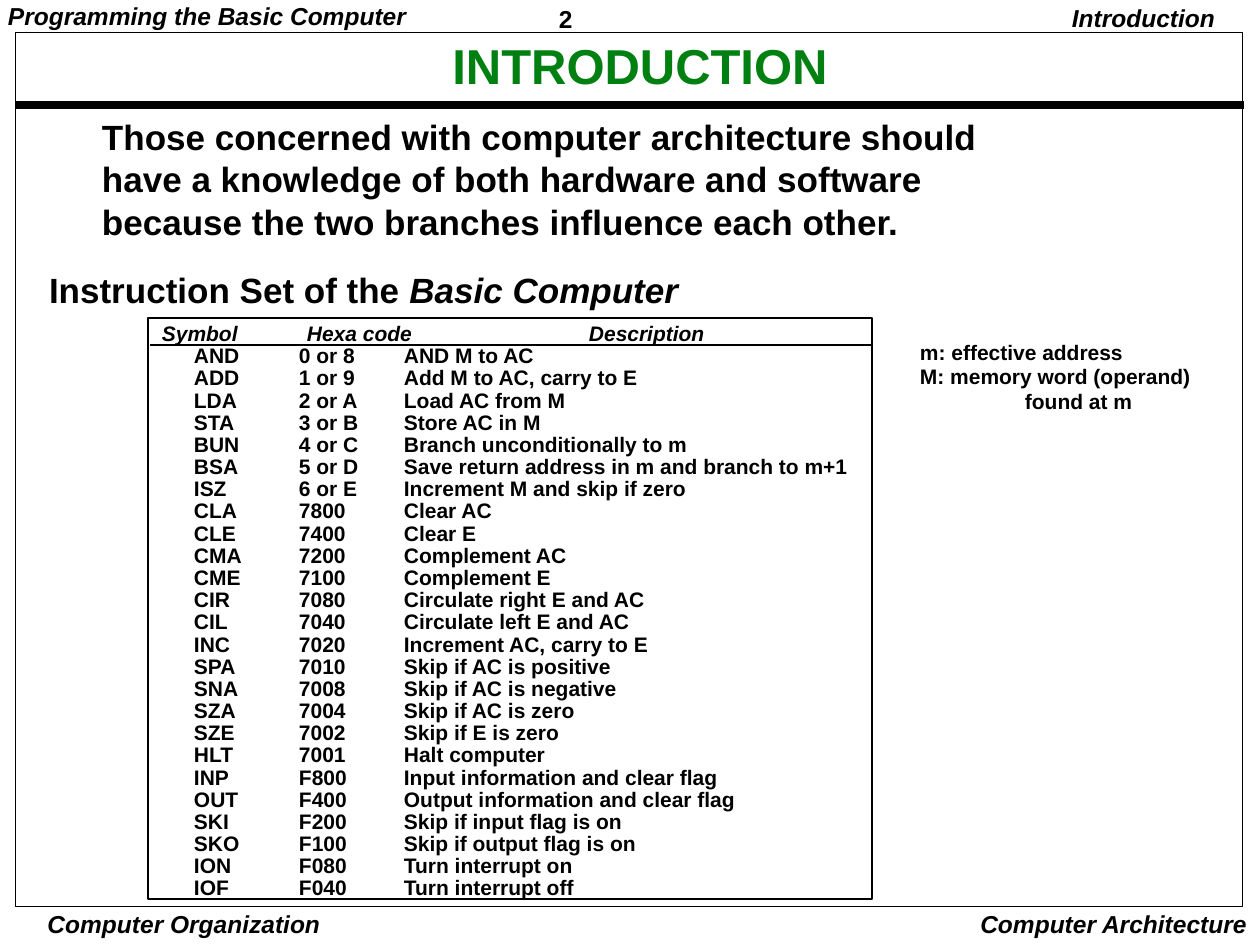
from lxml import etree
from pptx import Presentation
from pptx import util as u
from pptx.dml.color import RGBColor
from pptx.enum import shapes, text
from pptx.oxml.ns import qn

SCALE = 914400 / 126
BLACK = RGBColor(0x00, 0x00, 0x00)
GREEN = RGBColor(0x00, 0x80, 0x11)
LEFT = text.PP_ALIGN.LEFT
CENTER = text.PP_ALIGN.CENTER
RIGHT = text.PP_ALIGN.RIGHT
TAB_STEP = 105


def px(*lengths):
    return [round(length * SCALE) for length in lengths]


def write(shape, lines, size, color=BLACK, align=LEFT, spacing=1.0, inset=(9, 4), indent=0, wrap=False):
    frame = shape.text_frame
    frame.word_wrap = wrap
    side, edge = inset
    frame.margin_left, frame.margin_right = px(side + indent, side)
    frame.margin_top, frame.margin_bottom = px(edge, edge)
    for index, line in enumerate(lines):
        paragraph = frame.add_paragraph() if index else frame.paragraphs[0]
        paragraph.alignment = align
        paragraph.line_spacing = spacing
        if any("\t" in words for words, italic in line):
            tabs = etree.SubElement(paragraph._p.get_or_add_pPr(), qn("a:tabLst"))
            for stop in range(1, 4):
                etree.SubElement(tabs, qn("a:tab"), pos=str(px(stop * TAB_STEP)[0]), algn="l")
        for words, italic in line:
            run = paragraph.add_run()
            run.text = words
            run.font.name = "Arial"
            run.font.size = u.Pt(size)
            run.font.bold = True
            run.font.italic = italic
            run.font.color.rgb = color


presentation = Presentation()
presentation.slide_width, presentation.slide_height = px(1260, 945)
slide = presentation.slides.add_slide(presentation.slide_layouts[5])

title = slide.shapes.title
title.left, title.top, title.width, title.height = px(109, 40, 1062, 58)
write(title, [[("INTRODUCTION", False)]], 28, GREEN, CENTER, 0.9, (13, 6), wrap=True)
title.text_frame.vertical_anchor = text.MSO_ANCHOR.MIDDLE
title.text_frame.auto_size = text.MSO_AUTO_SIZE.NONE

for box, weight in [((15, 32, 1228, 874), 0.5), ((148, 318, 724, 581), 1)]:
    outline = slide.shapes.add_shape(shapes.MSO_SHAPE.RECTANGLE, *px(*box))
    outline.shadow.inherit = False
    outline.fill.background()
    outline.line.color.rgb = BLACK
    outline.line.width = u.Pt(weight)

for start, end, y, weight in [(16, 1244, 105, 4.5), (150, 873, 345, 1)]:
    rule = slide.shapes.add_connector(shapes.MSO_CONNECTOR.STRAIGHT, *px(start, y, end, y))
    rule.line.color.rgb = BLACK
    rule.line.width = u.Pt(weight)
    etree.SubElement(rule._element.spPr, qn("a:effectLst"))

instructions = [
    ("AND", "0 or 8", "AND M to AC"),
    ("ADD", "1 or 9", "Add M to AC, carry to E"),
    ("LDA", "2 or A", "Load AC from M"),
    ("STA", "3 or B", "Store AC in M"),
    ("BUN", "4 or C", "Branch unconditionally to m"),
    ("BSA", "5 or D", "Save return address in m and branch to m+1"),
    ("ISZ", "6 or E", "Increment M and skip if zero"),
    ("CLA", "7800", "Clear AC"),
    ("CLE", "7400", "Clear E"),
    ("CMA", "7200", "Complement AC"),
    ("CME", "7100", "Complement E"),
    ("CIR", "7080", "Circulate right E and AC"),
    ("CIL", "7040", "Circulate left E and AC"),
    ("INC", "7020", "Increment AC, carry to E"),
    ("SPA", "7010", "Skip if AC is positive"),
    ("SNA", "7008", "Skip if AC is negative"),
    ("SZA", "7004", "Skip if AC is zero"),
    ("SZE", "7002", "Skip if E is zero"),
    ("HLT", "7001", "Halt computer"),
    ("INP", "F800", "Input information and clear flag"),
    ("OUT", "F400", "Output information and clear flag"),
    ("SKI", "F200", "Skip if input flag is on"),
    ("SKO", "F100", "Skip if output flag is on"),
    ("ION", "F080", "Turn interrupt on"),
    ("IOF", "F040", "Turn interrupt off"),
]
instruction_lines = [[("\t".join(row), False)] for row in instructions]
statement = [
    [("Those concerned with computer architecture should", False)],
    [("have a knowledge of both hardware and software", False)],
    [("because the two branches influence each other.", False)],
]
legend = [
    [("m: effective address", False)],
    [("M: memory word (operand)", False)],
    [("\tfound at m", False)],
]
heading = [[("Instruction Set of the ", False), ("Basic Computer", True)]]

text_boxes = [
    ((550, 0, 136, 37), [[("2", False)]], 14, dict(spacing=1.01)),
    ((40, 908, 288, 33), [[("Computer Organization", True)]], 14, dict(align=CENTER, inset=(4, 1))),
    ((960, 903, 300, 42), [[("Computer Architecture", True)]], 14, dict(align=RIGHT, inset=(13, 6))),
    ((153, 318, 101, 32), [[("Symbol", True)]], 12, dict(spacing=0.97)),
    ((298, 318, 130, 32), [[("Hexa code", True)]], 12, dict(spacing=0.97)),
    ((580, 318, 142, 32), [[("Description", True)]], 12, dict(spacing=0.97)),
    ((93, 111, 1091, 176), statement, 20, dict(spacing=1.01, wrap=True)),
    ((911, 337, 302, 81), legend, 12, dict(spacing=0.97)),
    ((1052, 0, 183, 39), [[("Introduction ", True)]], 14, dict(align=RIGHT, spacing=0.9, inset=(13, 6))),
    ((102, 340, 768, 588), instruction_lines, 12, dict(spacing=0.88, inset=(13, 6), indent=79)),
    ((36, 267, 664, 50), heading, 20, dict(spacing=0.9, inset=(13, 6))),
    ((-1, 0, 426, 34), [[("Programming the Basic Computer", True)]], 14, dict(spacing=0.9)),
]
for box, lines, size, style in text_boxes:
    text_box = slide.shapes.add_textbox(*px(*box))
    write(text_box, lines, size, **style)
    text_box.text_frame.auto_size = text.MSO_AUTO_SIZE.SHAPE_TO_FIT_TEXT

presentation.save("out.pptx")
